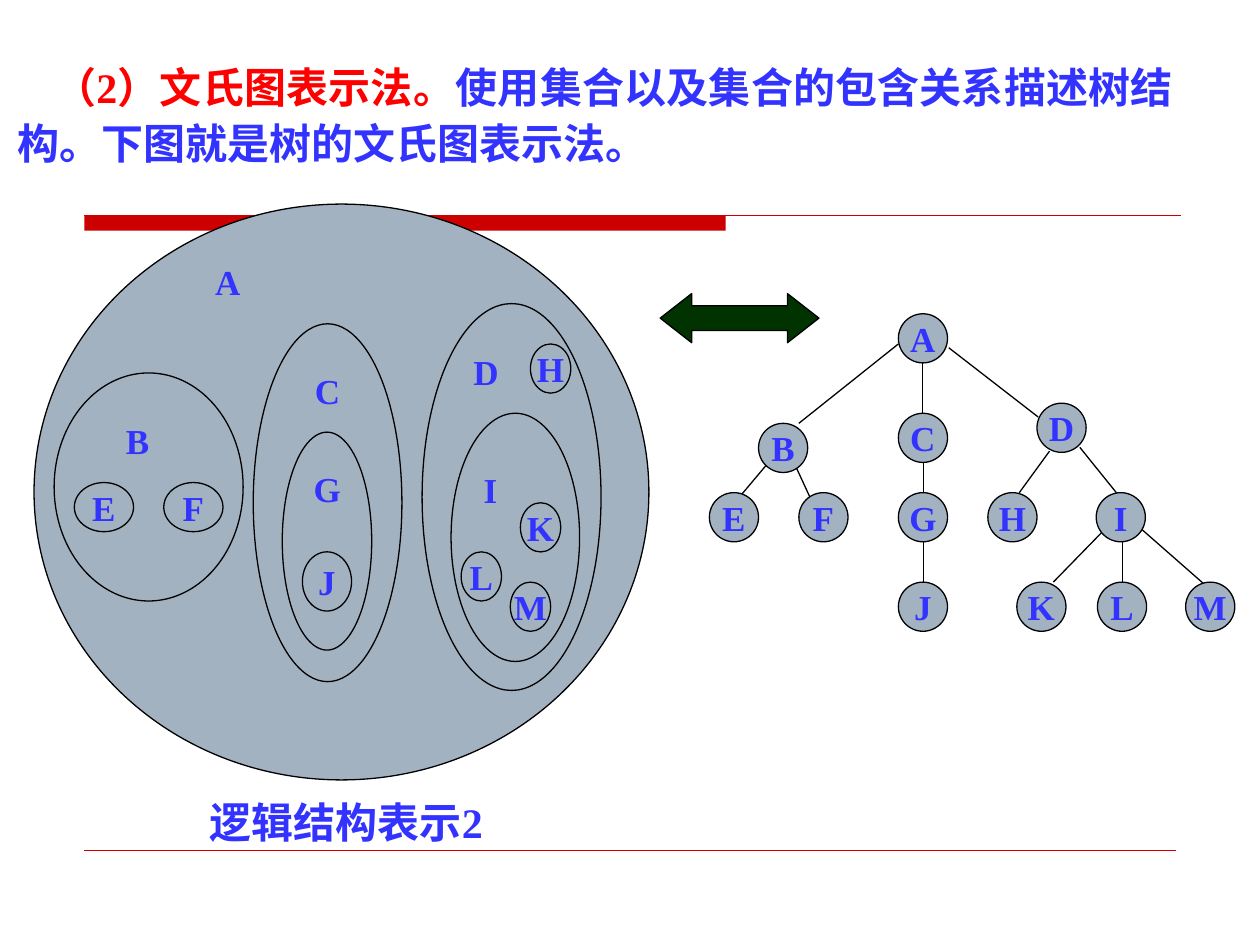
import pptx
import pptx.dml.color
import pptx.enum.shapes
import pptx.enum.text
import pptx.oxml.ns
import pptx.util
from lxml import etree

EMU_PER_PX = 9144  # 100 px to the inch
FONT = "Times New Roman"
COLORS = {
    "red": "FF0000",
    "blue": "3333FF",
    "rule": "CC0000",
    "set": "A3B2C1",
    "arrow": "003300",
    "black": "000000",
}
SHAPES = pptx.enum.shapes.MSO_SHAPE
ALIGN = pptx.enum.text.PP_ALIGN
ANCHOR = pptx.enum.text.MSO_ANCHOR

NODE_SIZE = 39
TREE_NODES = {  # left, top
    "A": (713, 249),
    "B": (602, 336), "C": (713, 328), "D": (823, 320),
    "E": (563, 391), "F": (634, 391), "G": (713, 391), "H": (784, 391), "I": (870, 391),
    "J": (713, 462), "K": (807, 462), "L": (871, 462), "M": (941, 462),
}
TREE_EDGES = [  # from x, y, to x, y
    (713, 273, 634, 336), (732, 288, 732, 328), (753, 276, 824, 331),
    (610, 367, 589, 392), (631, 369, 643, 395),
    (733, 367, 733, 391), (733, 430, 733, 462),
    (833, 358, 809, 391), (857, 355, 886, 391),
    (875, 422, 836, 462), (891, 430, 891, 462), (906, 420, 955, 463),
]
OUTER_SETS = {  # left, top, width, height; each set precedes its subsets
    "A": (27, 162, 488, 457),
    "B": (43, 296, 150, 181),
    "C": (201, 257, 118, 284),
    "G": (224, 343, 71, 173),
    "D": (335, 241, 142, 307),
    "I": (358, 328, 102, 197),
}
SET_LABELS = {
    "A": (161, 202, 39, 44),
    "B": (90, 328, 39, 44),
    "C": (240, 288, 32, 44),
    "G": (239, 366, 31, 44),
    "D": (366, 273, 24, 44),
    "I": (374, 367, 39, 44),
}
LEAF_SETS = {
    "E": (59, 383, 47, 39), "F": (130, 383, 47, 39),
    "J": (240, 438, 39, 47),
    "H": (421, 273, 32, 39), "K": (413, 399, 32, 39),
    "L": (366, 438, 32, 39), "M": (405, 462, 32, 39),
}


def px(*lengths):
    return [pptx.util.Emu(length * EMU_PER_PX) for length in lengths]


def color(name):
    return pptx.dml.color.RGBColor.from_string(COLORS[name])


def format_run(run, size, color_name="blue"):
    run.font.name = FONT
    run.font.size = pptx.util.Pt(size)
    run.font.bold = True
    run.font.color.rgb = color(color_name)


def add_figure(shapes, kind, box, fill, line="black"):
    shape = shapes.add_shape(kind, *px(*box))
    shape.shadow.inherit = False
    shape.fill.solid()
    shape.fill.fore_color.rgb = color(fill)
    if line:
        shape.line.color.rgb = color(line)
        shape.line.width = pptx.util.Pt(0.75)
    else:
        shape.line.fill.background()
    return shape


def add_line(shapes, ends, color_name="black", width=0.75):
    connector = shapes.add_connector(pptx.enum.shapes.MSO_CONNECTOR.STRAIGHT, *px(*ends))
    connector.line.color.rgb = color(color_name)
    connector.line.width = pptx.util.Pt(width)
    properties = connector._element.spPr
    etree.SubElement(properties, pptx.oxml.ns.qn("a:effectLst"))


def add_lettered_ellipse(shapes, letter, box):
    ellipse = add_figure(shapes, SHAPES.OVAL, box, "set")
    frame = ellipse.text_frame
    frame.text = letter
    frame.word_wrap = False
    frame.vertical_anchor = ANCHOR.MIDDLE
    frame.paragraphs[0].alignment = ALIGN.CENTER
    format_run(frame.paragraphs[0].runs[0], 20)


def add_label(shapes, text, box, size=20, alignment=ALIGN.LEFT):
    frame = shapes.add_textbox(*px(*box)).text_frame
    frame.text = text
    frame.word_wrap = True
    frame.paragraphs[0].alignment = alignment
    format_run(frame.paragraphs[0].runs[0], size)


def set_title(title):
    title.left, title.top, title.width, title.height = px(4, 40, 937, 106)
    frame = title.text_frame
    frame.word_wrap = True
    frame.auto_size = pptx.enum.text.MSO_AUTO_SIZE.NONE
    frame.vertical_anchor = ANCHOR.TOP
    paragraph = frame.paragraphs[0]
    paragraph.alignment = ALIGN.JUSTIFY
    paragraph.line_spacing = 1.1
    paragraph.space_before = pptx.util.Pt(0)
    paragraph._p.get_or_add_pPr().set("indent", str(px(29)[0]))
    for text, color_name in (
        ("（2）文氏图表示法。", "red"),
        ("使用集合以及集合的包含关系描述树结构。下图就是树的文氏图表示法。", "blue"),
    ):
        run = paragraph.add_run()
        run.text = text
        format_run(run, 24, color_name)


def add_rules(shapes):
    add_figure(shapes, SHAPES.RECTANGLE, (67, 171, 509, 12), "rule", line=None)
    add_line(shapes, (67, 171, 937, 171), "rule")
    add_line(shapes, (67, 675, 933, 675), "rule", 0.25)


def add_tree(shapes):
    group = shapes.add_group_shape().shapes
    for ends in TREE_EDGES:
        add_line(group, ends)
    for letter, (left, top) in TREE_NODES.items():
        add_lettered_ellipse(group, letter, (left, top, NODE_SIZE, NODE_SIZE))


def add_venn_diagram(shapes):
    group = shapes.add_group_shape().shapes
    for box in OUTER_SETS.values():
        add_figure(group, SHAPES.OVAL, box, "set")
    for letter, box in LEAF_SETS.items():
        add_lettered_ellipse(group, letter, box)
    for letter, box in SET_LABELS.items():
        add_label(group, letter, box)


def main():
    presentation = pptx.Presentation()
    presentation.slide_width, presentation.slide_height = px(1000, 750)
    slide = presentation.slides.add_slide(presentation.slide_layouts[5])
    shapes = slide.shapes
    set_title(shapes.title)
    add_rules(shapes)
    add_tree(shapes)
    add_label(shapes, "逻辑结构表示2", (98, 627, 354, 50), 24, ALIGN.CENTER)
    add_venn_diagram(shapes)
    arrow = add_figure(shapes, SHAPES.LEFT_RIGHT_ARROW, (524, 233, 126, 39), "arrow")
    arrow.adjustments[0] = 0.5
    arrow.adjustments[1] = 0.64
    presentation.save("out.pptx")


if __name__ == "__main__":
    main()
